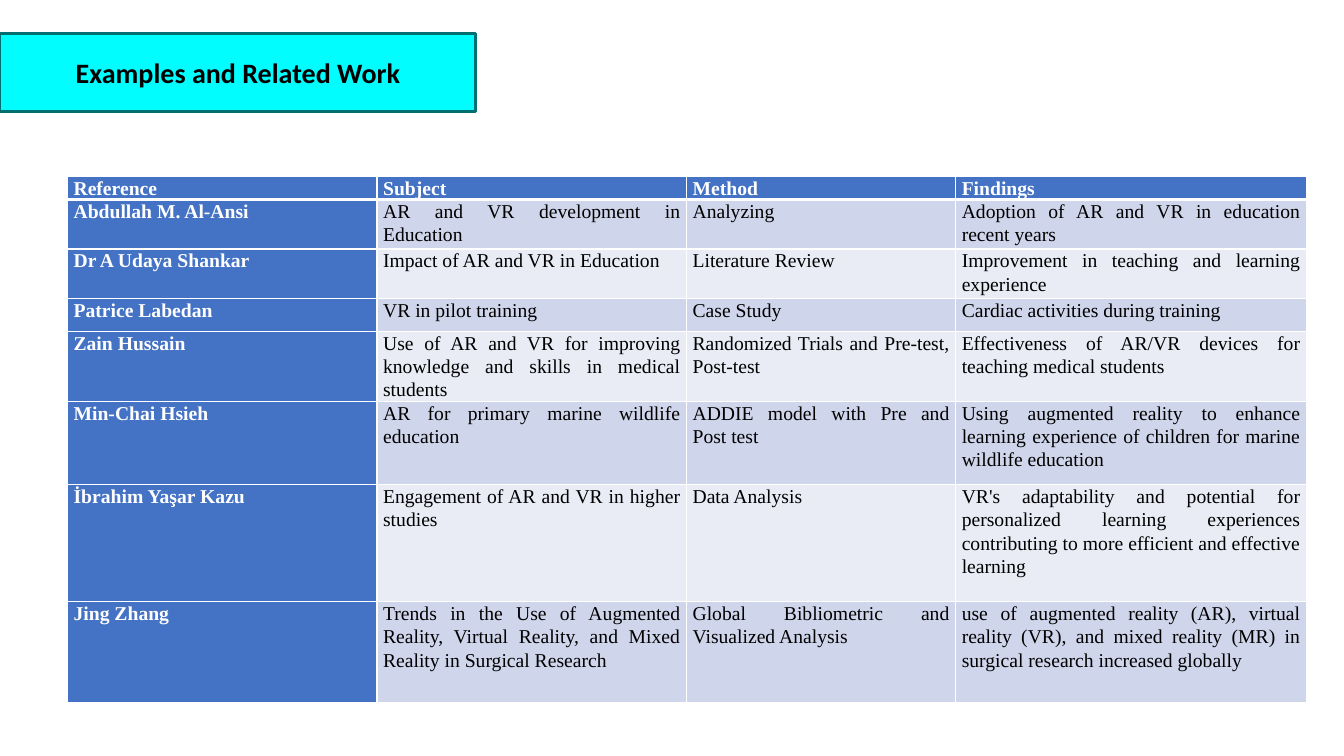
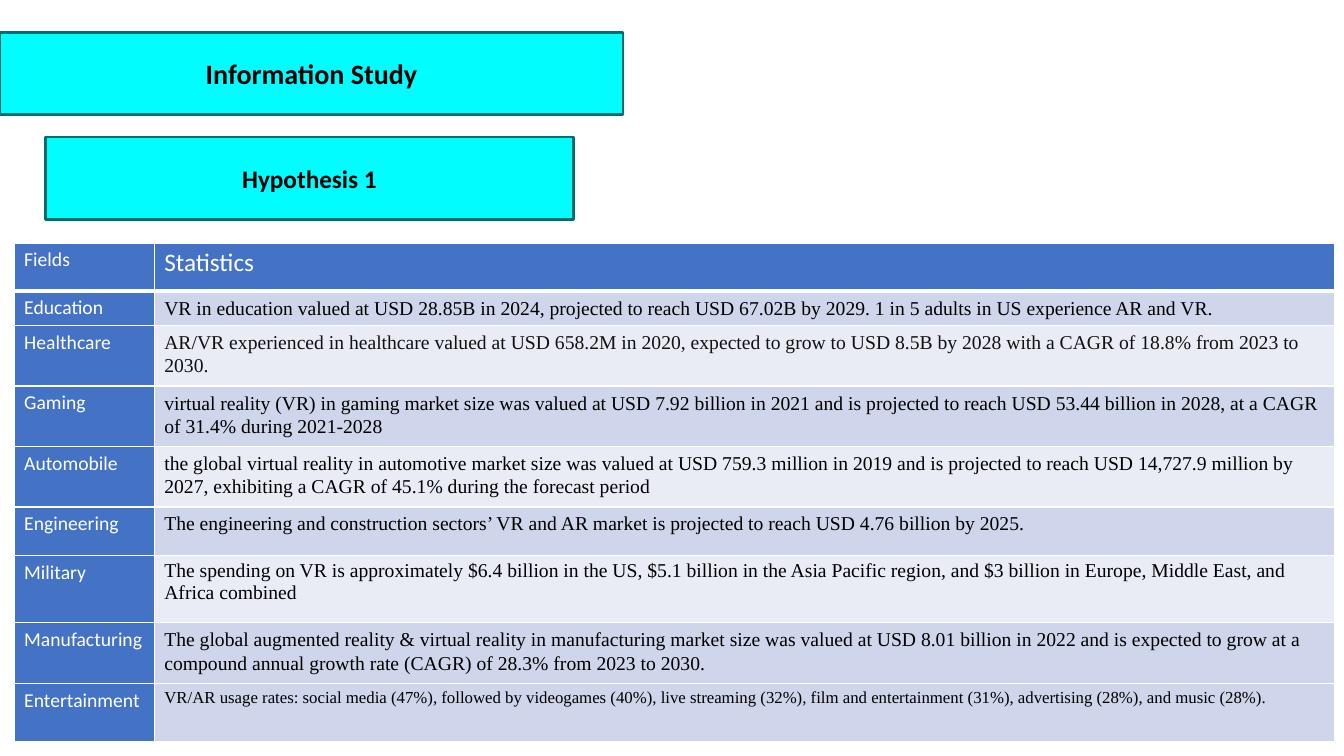
from dataclasses import dataclass, replace

from lxml import etree
from pptx import Presentation
from pptx.dml.color import RGBColor
from pptx.enum.shapes import MSO_SHAPE
from pptx.enum.text import MSO_ANCHOR, MSO_AUTO_SIZE, PP_ALIGN
from pptx.oxml.ns import qn
from pptx.util import Inches, Pt

RECTANGLE = MSO_SHAPE.RECTANGLE
MIDDLE = MSO_ANCHOR.MIDDLE
NO_AUTOFIT = MSO_AUTO_SIZE.NONE
CENTER, JUSTIFY, LEFT = PP_ALIGN.CENTER, PP_ALIGN.JUSTIFY, PP_ALIGN.LEFT
TITLE_ONLY = 5
SLIDE_WIDTH, SLIDE_HEIGHT = 13.33, 7.5


@dataclass(frozen=True)
class Theme:
    band: str = "02FDFF"
    band_edge: str = "016F70"
    accent: str = "4472C4"
    stripes: tuple = ("CFD5EA", "E9EBF5")
    white: str = "FFFFFF"
    black: str = "000000"
    charcoal: str = "111111"
    sans: str = "Calibri"
    serif: str = "Times New Roman"
    title_size: int = 20
    large_size: int = 18
    body_size: int = 14
    small_size: int = 12
    band_edge_width: float = 2
    rule_width: float = 1
    header_rule_width: float = 3


THEME = Theme()


@dataclass(frozen=True)
class TextStyle:
    font: str
    color: str
    size: int = THEME.body_size
    bold: bool = False
    align: int = LEFT
    line_spacing: float = 1.0
    space_after: float = 0


SPACED = {"line_spacing": 1.07, "space_after": 8}
BAND_STYLE = TextStyle(THEME.sans, THEME.black, THEME.title_size, bold=True, align=CENTER)
REFERENCE_BODY = TextStyle(THEME.serif, THEME.black, align=JUSTIFY, **SPACED)
REFERENCE_LABEL = replace(REFERENCE_BODY, color=THEME.white, bold=True)
STATISTIC_BODY = TextStyle(THEME.serif, THEME.black, **SPACED)
STATISTIC_LABEL = TextStyle(THEME.sans, THEME.white)
SINGLE_SPACED = {"line_spacing": 1.0, "space_after": 0}

RELATED_WORK = {
    "position": (0.67, 1.75),
    "columns": (3.07, 3.07, 2.67, 3.48),
    "row_heights": (0.16, 0.49, 0.49, 0.33, 0.66, 0.83, 1.16, 1.0),
    "stripe_order": (0, 1, 0, 1, 0, 1, 0),
    "margins": (0.06, 0),
    "label": REFERENCE_LABEL,
    "body": REFERENCE_BODY,
    "exceptions": {},
    "rows": [
        ("Reference", "Subject", "Method", "Findings"),
        ("Abdullah M. Al-Ansi", "AR and VR development in Education", "Analyzing",
         "Adoption of AR and VR in education recent years"),
        ("Dr A Udaya Shankar", "Impact of AR and VR in Education", "Literature Review",
         "Improvement in teaching and learning experience"),
        ("Patrice Labedan", "VR in pilot training", "Case Study",
         "Cardiac activities during training"),
        ("Zain Hussain",
         "Use of AR and VR for improving knowledge and skills in medical students",
         "Randomized Trials and Pre-test, Post-test",
         "Effectiveness of AR/VR devices for teaching medical students"),
        ("Min-Chai Hsieh", "AR for primary marine wildlife education",
         "ADDIE model with Pre and Post test",
         "Using augmented reality to enhance learning experience of children "
         "for marine wildlife education"),
        ("İbrahim Yaşar Kazu", "Engagement of AR and VR in higher studies", "Data Analysis",
         "VR's adaptability and potential for personalized learning experiences "
         "contributing to more efficient and effective learning"),
        ("Jing Zhang",
         "Trends in the Use of Augmented Reality, Virtual Reality, and Mixed Reality "
         "in Surgical Research",
         "Global Bibliometric and Visualized Analysis",
         "use of augmented reality (AR), virtual reality (VR), and mixed reality (MR) "
         "in surgical research increased globally"),
    ],
}

FIELD_STATISTICS = {
    "position": (0.14, 2.41),
    "columns": (1.39, 11.71),
    "row_heights": (0.48, 0.34, 0.6, 0.6, 0.6, 0.48, 0.67, 0.6, 0.58),
    "stripe_order": (0, 1, 0, 1, 0, 1, 0, 0),
    "margins": (0.1, 0.05),
    "label": STATISTIC_LABEL,
    "body": STATISTIC_BODY,
    "exceptions": {
        "Statistics": {"size": THEME.large_size},
        "Healthcare": {"color": THEME.charcoal},
        "Military": SINGLE_SPACED,
        "Entertainment": {"size": THEME.small_size, **SINGLE_SPACED},
    },
    "rows": [
        ("Fields", "Statistics"),
        ("Education", "VR in education valued at USD 28.85B in 2024, projected to reach "
         "USD 67.02B by 2029. 1 in 5 adults in US experience AR and VR."),
        ("Healthcare", "AR/VR experienced in healthcare valued at USD 658.2M in 2020, expected "
         "to grow to USD 8.5B by 2028 with a CAGR of 18.8% from 2023 to 2030."),
        ("Gaming", "virtual reality (VR) in gaming market size was valued at USD 7.92 billion "
         "in 2021 and is projected to reach USD 53.44 billion in 2028, at a CAGR of 31.4% "
         "during 2021-2028"),
        ("Automobile", "the global virtual reality in automotive market size was valued at "
         "USD 759.3 million in 2019 and is projected to reach USD 14,727.9 million by 2027, "
         "exhibiting a CAGR of 45.1% during the forecast period"),
        ("Engineering", "The engineering and construction sectors’ VR and AR market is "
         "projected to reach USD 4.76 billion by 2025."),
        ("Military", "The spending on VR is approximately $6.4 billion in the US, $5.1 billion "
         "in the Asia Pacific region, and $3 billion in Europe, Middle East, and Africa combined"),
        ("Manufacturing", "The global augmented reality & virtual reality in manufacturing "
         "market size was valued at USD 8.01 billion in 2022 and is expected to grow at a "
         "compound annual growth rate (CAGR) of 28.3% from 2023 to 2030."),
        ("Entertainment", "VR/AR usage rates: social media (47%), followed by videogames (40%), "
         "live streaming (32%), film and entertainment (31%), advertising (28%), "
         "and music (28%)."),
    ],
}

SLIDES = [
    {"title": "Examples and Related Work", "title_box": (0, 0.33, 4.72, 0.78),
     "table": RELATED_WORK},
    {"title": "Information Study", "title_box": (0, 0.32, 6.18, 0.82),
     "subtitle": "Hypothesis 1", "subtitle_box": (0.45, 1.36, 5.24, 0.82),
     "table": FIELD_STATISTICS},
]


def paint(fill, color):
    fill.solid()
    fill.fore_color.rgb = RGBColor.from_string(color)


def write(text_frame, text, style):
    text_frame.text = text
    paragraph = text_frame.paragraphs[0]
    paragraph.alignment = style.align
    paragraph.line_spacing = style.line_spacing
    paragraph.space_before = Pt(0)
    paragraph.space_after = Pt(style.space_after)
    font = paragraph.font
    font.name, font.size, font.bold = style.font, Pt(style.size), style.bold
    font.color.rgb = RGBColor.from_string(style.color)


def format_band(shape, box, text, style):
    """Turn a title placeholder or a rectangle into a bright heading band."""
    shape.left, shape.top, shape.width, shape.height = map(Inches, box)
    paint(shape.fill, THEME.band)
    paint(shape.line.fill, THEME.band_edge)
    shape.line.width = Pt(THEME.band_edge_width)
    text_frame = shape.text_frame
    text_frame.word_wrap = True
    text_frame.auto_size = NO_AUTOFIT
    text_frame.vertical_anchor = MIDDLE
    write(text_frame, text, style)


def add_borders(cell, row_index):
    """Rule all four sides, with a heavier rule below the header row."""
    heavy_side = {0: "lnB", 1: "lnT"}.get(row_index)
    properties = cell._tc.get_or_add_tcPr()
    for side in ("lnL", "lnR", "lnT", "lnB"):
        width = THEME.header_rule_width if side == heavy_side else THEME.rule_width
        line = etree.SubElement(properties, qn(f"a:{side}"), w=str(Pt(width)))
        fill = etree.SubElement(line, qn("a:solidFill"))
        etree.SubElement(fill, qn("a:srgbClr"), val=THEME.white)


def add_data_table(slide, content):
    rows, columns, heights = content["rows"], content["columns"], content["row_heights"]
    box = (*content["position"], sum(columns), sum(heights))
    table = slide.shapes.add_table(len(rows), len(columns), *map(Inches, box)).table
    for column, width in zip(table.columns, columns):
        column.width = Inches(width)
    for row, height in zip(table.rows, heights):
        row.height = Inches(height)

    side_margin, end_margin = map(Inches, content["margins"])
    for row_index, values in enumerate(rows):
        stripe = THEME.stripes[content["stripe_order"][row_index - 1]]
        for column_index, text in enumerate(values):
            cell = table.cell(row_index, column_index)
            is_label = row_index == 0 or column_index == 0
            style = content["label"] if is_label else content["body"]
            key = text if is_label else values[0]
            if row_index == 0 or not is_label:
                style = replace(style, **content["exceptions"].get(key, {}))
            cell.margin_left = cell.margin_right = side_margin
            cell.margin_top = cell.margin_bottom = end_margin
            add_borders(cell, row_index)
            paint(cell.fill, THEME.accent if is_label else stripe)
            write(cell.text_frame, text, style)


def build_slide(presentation, content):
    slide = presentation.slides.add_slide(presentation.slide_layouts[TITLE_ONLY])
    format_band(slide.shapes.title, content["title_box"], content["title"], BAND_STYLE)
    if "subtitle" in content:
        box = content["subtitle_box"]
        subtitle = slide.shapes.add_shape(RECTANGLE, *map(Inches, box))
        subtitle.shadow.inherit = False
        format_band(subtitle, box, content["subtitle"],
                    replace(BAND_STYLE, size=THEME.large_size))
    add_data_table(slide, content["table"])


def main():
    presentation = Presentation()
    presentation.slide_width = Inches(SLIDE_WIDTH)
    presentation.slide_height = Inches(SLIDE_HEIGHT)
    for content in SLIDES:
        build_slide(presentation, content)
    presentation.save("out.pptx")


if __name__ == "__main__":
    main()
